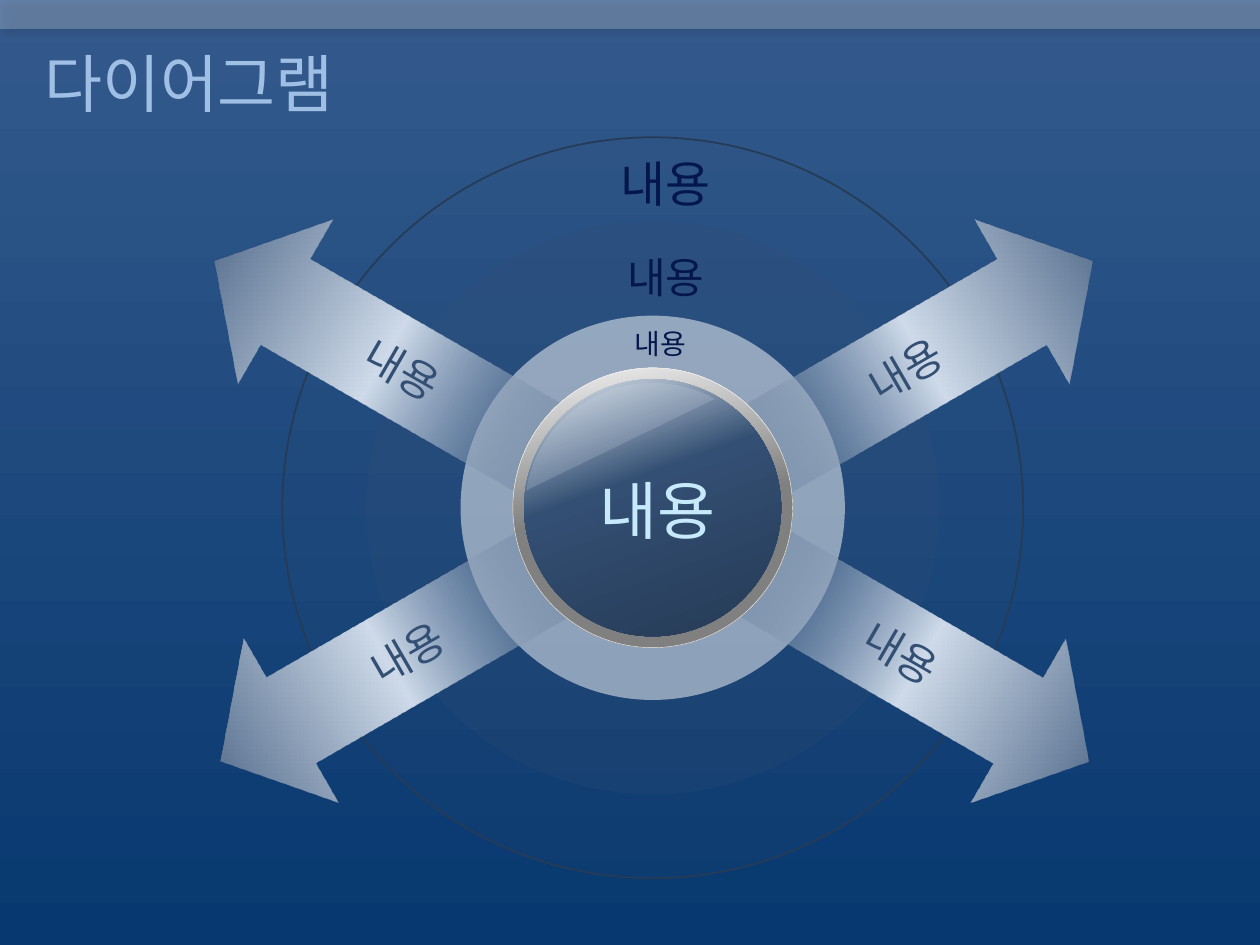
import pptx
import pptx.util
import pptx.dml.color
import pptx.enum.shapes
import pptx.enum.text
import pptx.oxml.ns
from lxml import etree

C = dict(top="345A8C", bottom="07386F", white="FFFFFF", black="000000", steel="334F73", navy="263B56",
         pale="CFDBEA", title="A0BFE5", silver="F2F2F2", gray="808080", shine="E7EDF4",
         ice="C7E9FC", ink="04174C")
COLS, ROWS = 100, 75
TITLE, WORD = "다이어그램", "내용"
HEAD_FONT, FONT = "Noto Sans CJK KR", "Karla"
CENTER = (51.8, 40.3)
RINGS = [(58.8, "steel", 10, "navy"), (45.5, "steel", 20, None), (30.5, "white", 50, None)]
ARROW_SIZE = (31, 15.1)
ARROWS = [(73, 52.65, 30.1, None), (73.3, 28.45, 330, None),
          (30.9, 52.65, 150, "flipV"), (30.5, 28.45, 30, "flipH")]
ARROW_STOPS = [(0, "steel", 0), (50, "pale", 100), (100, "steel", 100)]
RIM_STOPS = [(0, "silver", 100), (50, "gray", 100), (100, "gray", 100)]
BALL_STOPS = [(0, "shine", 100), (40, "steel", 100), (100, "navy", 100)]
LABELS = [(52.6, 40.45, 12, 7.1, 36, "ice"), (52.7, 27.25, 6.6, 3.7, 16, "ink"),
          (53.15, 21.95, 8.7, 4.9, 24, "ink"), (53.25, 14.55, 9.9, 5.7, 28, "ink")]

SHAPE = pptx.enum.shapes.MSO_SHAPE
ALIGN = pptx.enum.text.PP_ALIGN
ANCHOR = pptx.enum.text.MSO_ANCHOR
qn = pptx.oxml.ns.qn

prs = pptx.Presentation()
prs.slide_width = pptx.util.Inches(10)
prs.slide_height = pptx.util.Inches(7.5)
s = prs.slides.add_slide(prs.slide_layouts[5])


def box(cx, cy, w, h):
    cell_w, cell_h = prs.slide_width / COLS, prs.slide_height / ROWS
    return [round(v) for v in ((cx - w / 2) * cell_w, (cy - h / 2) * cell_h, w * cell_w, h * cell_h)]


def rgb(name):
    return pptx.dml.color.RGBColor.from_string(C[name])


def add_color(parent, name, alpha):
    clr = etree.SubElement(parent, qn("a:srgbClr"), val=C[name])
    if alpha < 100:
        etree.SubElement(clr, qn("a:alpha"), val=str(alpha * 1000))


def gradient(fill, element, stops, angle):
    fill.gradient()
    grad = next(element.iter(qn("a:gradFill")))
    gs_list = grad.find(qn("a:gsLst"))
    for gs in list(gs_list):
        gs_list.remove(gs)
    for pos, name, alpha in stops:
        add_color(etree.SubElement(gs_list, qn("a:gs"), pos=str(pos * 1000)), name, alpha)
    grad.find(qn("a:lin")).set("ang", str(angle * 60000))


def add_shape(kind, cx, cy, w, h, fill=None, alpha=100, stops=None, angle=0, line=None, width=1):
    shape = s.shapes.add_shape(kind, *box(cx, cy, w, h))
    shape.shadow.inherit = False
    if stops:
        gradient(shape.fill, shape._element.spPr, stops, angle)
    else:
        shape.fill.solid()
        solid = shape._element.spPr.find(qn("a:solidFill"))
        for child in list(solid):
            solid.remove(child)
        add_color(solid, fill, alpha)
    if line:
        shape.line.color.rgb = rgb(line)
        shape.line.width = pptx.util.Pt(width)
    else:
        shape.line.fill.background()
    return shape


def write(tf, text, size=24, color="steel", font=FONT, align=ALIGN.LEFT, anchor=ANCHOR.TOP, wrap=False):
    tf.word_wrap = wrap
    tf.vertical_anchor = anchor
    p = tf.paragraphs[0]
    p.alignment = align
    r = p.add_run()
    r.text = text
    r.font.size = pptx.util.Pt(size)
    r.font.name = font
    r.font.color.rgb = rgb(color)
    etree.SubElement(r._r.get_or_add_rPr(), qn("a:ea"), typeface=font)


gradient(s.background.fill, s._element, [(0, "top", 100), (100, "bottom", 100)], 90)

bar = add_shape(SHAPE.RECTANGLE, COLS / 2, 1.15, COLS, 2.3, fill="white", alpha=23)
shadow = etree.SubElement(bar._element.spPr.find(qn("a:effectLst")), qn("a:outerShdw"),
                          blurRad=str(pptx.util.Pt(4)), dist=str(pptx.util.Pt(3)),
                          dir=str(45 * 60000), algn="tl", rotWithShape="0")
add_color(shadow, "black", 40)

for size, fill, alpha, line in RINGS:
    add_shape(SHAPE.OVAL, *CENTER, size, size, fill=fill, alpha=alpha, line=line)

title = s.shapes.title
title.left, title.top, title.width, title.height = box(49.95, 6.55, 94.9, 8.7)
write(title.text_frame, TITLE, size=36, color="title", font=HEAD_FONT, anchor=ANCHOR.MIDDLE, wrap=True)

for cx, cy, rotation, flip in ARROWS:
    arrow = add_shape(SHAPE.RIGHT_ARROW, cx, cy, *ARROW_SIZE, stops=ARROW_STOPS)
    arrow.adjustments[0], arrow.adjustments[1] = 0.52, 0.43
    arrow.rotation = rotation
    if flip:
        arrow._element.spPr.find(qn("a:xfrm")).set(flip, "1")
    write(arrow.text_frame, WORD, align=ALIGN.CENTER, anchor=ANCHOR.MIDDLE)

cx, cy = CENTER
add_shape(SHAPE.OVAL, cx, cy, 22.2, 22.2, stops=RIM_STOPS, angle=80, line="silver", width=0.25)
add_shape(SHAPE.OVAL, cx, cy, 20.4, 20.4, stops=BALL_STOPS, angle=70)
gloss = add_shape(SHAPE.CHORD, cx, cy + 0.3, 20.4, 20.4, fill="pale", alpha=20)
gloss.adjustments[0], gloss.adjustments[1] = 59.63, 125.32
gloss.rotation = 90

for cx, cy, w, h, size, color in LABELS:
    label = s.shapes.add_textbox(*box(cx, cy, w, h))
    write(label.text_frame, WORD, size=size, color=color)
    label.text_frame.auto_size = pptx.enum.text.MSO_AUTO_SIZE.SHAPE_TO_FIT_TEXT

prs.save("out.pptx")
